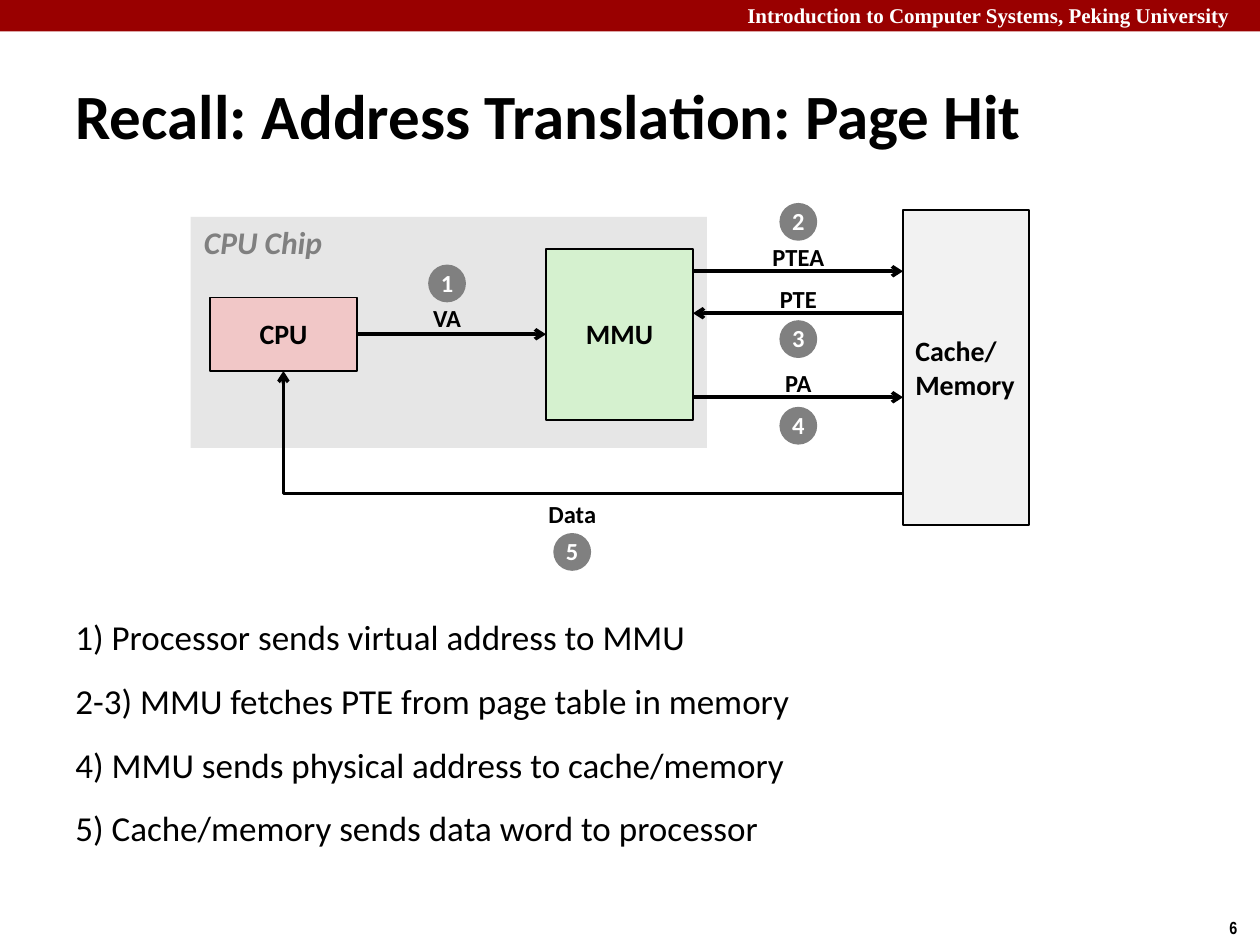
from dataclasses import dataclass

from lxml import etree
from pptx import Presentation
from pptx import util as u
from pptx.dml.color import RGBColor
from pptx.enum import shapes, text
from pptx.oxml import ns


@dataclass(frozen=True)
class Theme:
    font: str = "Calibri"
    header_font: str = "Times New Roman"
    number_font: str = "Arial Narrow"
    black: str = "000000"
    white: str = "FFFFFF"
    banner: str = "990000"
    chip: str = "E6E6E6"
    gray: str = "808080"
    cpu: str = "F1C7C7"
    mmu: str = "D5F1CF"
    memory: str = "F2F2F2"
    title: int = 36
    body: int = 20
    chip_size: int = 18
    unit: int = 16
    label: int = 14
    header: int = 12
    number: int = 10
    arrow: int = 2


THEME = Theme()
RECT = shapes.MSO_SHAPE.RECTANGLE
OVAL = shapes.MSO_SHAPE.OVAL
STRAIGHT = shapes.MSO_CONNECTOR.STRAIGHT
LEFT = text.PP_ALIGN.LEFT
CENTER = text.PP_ALIGN.CENTER
TOP = text.MSO_ANCHOR.TOP
MIDDLE = text.MSO_ANCHOR.MIDDLE


def write(box, lines, size, color=THEME.black, font=THEME.font, bold=True, italic=False,
          align=LEFT, anchor=TOP, wrap=False, gap=0):
    frame = box.text_frame
    frame.word_wrap = wrap
    frame.vertical_anchor = anchor
    for index, line in enumerate(lines):
        para = frame.paragraphs[0] if index == 0 else frame.add_paragraph()
        para.text = line
        para.alignment = align
        if align == CENTER:
            para.line_spacing = 0.98
        if index and gap:
            para.space_before = u.Pt(gap)
        para.font.name = font
        para.font.size = u.Pt(size)
        para.font.bold = bold
        para.font.italic = italic
        para.font.color.rgb = RGBColor.from_string(color)


def add_text(page, place, lines, size, **style):
    box = page.shapes.add_textbox(*map(u.Pt, place))
    write(box, lines, size, **style)


def add_block(page, place, fill, line_width=0, kind=RECT):
    block = page.shapes.add_shape(kind, *map(u.Pt, place))
    block.shadow.inherit = False
    block.fill.solid()
    block.fill.fore_color.rgb = RGBColor.from_string(fill)
    if line_width:
        block.line.color.rgb = RGBColor.from_string(THEME.black)
        block.line.width = u.Pt(line_width)
    else:
        block.line.fill.background()
    return block


def add_label(page, center, top, width, word):
    add_text(page, (center - width / 2, top, width, 24), [word], THEME.label,
             align=CENTER, anchor=MIDDLE)


def add_step(page, center, top, number):
    size = 21.6
    circle = add_block(page, (center - size / 2, top, size, size), THEME.gray, kind=OVAL)
    write(circle, [str(number)], THEME.label, color=THEME.white, align=CENTER, anchor=MIDDLE)


def add_arrow(page, start, end, kind=STRAIGHT):
    arrow = page.shapes.add_connector(kind, *map(u.Pt, (*start, *end)))
    arrow.line.color.rgb = RGBColor.from_string(THEME.black)
    arrow.line.width = u.Pt(THEME.arrow)
    properties = arrow.element.spPr
    etree.SubElement(properties.find(ns.qn("a:ln")), ns.qn("a:tailEnd"), type="arrow")
    etree.SubElement(properties, ns.qn("a:effectLst"))
    return arrow


def add_corner_arrow(page, start, end):
    arrow = add_arrow(page, start, end, shapes.MSO_CONNECTOR.ELBOW)
    # A single right-angle bend
    arrow.element.spPr.find(ns.qn("a:prstGeom")).set("prst", "bentConnector2")


def add_frame(page):
    add_block(page, (0, 0, 720, 18), THEME.banner)
    add_text(page, (420, -2, 305, 21.6),
             ["Introduction to Computer Systems, Peking University"],
             THEME.header, color=THEME.white, font=THEME.header_font, wrap=True)
    add_text(page, (695.5, 520.5, 24.5, 19.5), ["6"], THEME.number, font=THEME.number_font)
    add_text(page, (36, 34.5, 686, 62), ["Recall: Address Translation: Page Hit"],
             THEME.title, anchor=MIDDLE, wrap=True)


def add_units(page):
    add_block(page, (109, 124, 295, 132), THEME.chip)
    add_text(page, (109.5, 124, 83.5, 29), ["CPU Chip"], THEME.chip_size,
             color=THEME.gray, italic=True)
    mmu = add_block(page, (312, 142.5, 84, 97.5), THEME.mmu, 1)
    write(mmu, ["MMU"], THEME.unit, align=CENTER, anchor=MIDDLE)
    cpu = add_block(page, (120, 170, 84, 42), THEME.cpu, 1)
    write(cpu, ["CPU"], THEME.unit, align=CENTER, anchor=MIDDLE)
    memory = add_block(page, (516, 120, 72, 180), THEME.memory, 1.5)
    write(memory, ["Cache/", "Memory"], THEME.unit, anchor=MIDDLE)


def add_signals(page):
    mmu_edge, memory_edge = 396, 516
    add_arrow(page, (204, 191), (312, 191))
    add_arrow(page, (mmu_edge, 155), (memory_edge, 155))
    add_arrow(page, (memory_edge, 179), (mmu_edge, 179))
    add_arrow(page, (mmu_edge, 227), (memory_edge, 227))
    add_corner_arrow(page, (memory_edge, 282), (162, 212))

    # Word, its width, centre, top of the word, top of the step circle
    signals = [
        ("VA", 36, 255.5, 170, 151.2),
        ("PTEA", 48, 456.2, 135.5, 116),
        ("PTE", 40, 456.2, 159.5, 183),
        ("PA", 36, 456.2, 207.5, 232.5),
        ("Data", 46, 327, 282.2, 304.6),
    ]
    for number, (word, width, center, word_top, step_top) in enumerate(signals, 1):
        add_label(page, center, word_top, width, word)
        add_step(page, center, step_top, number)


def main():
    deck = Presentation()
    deck.slide_width, deck.slide_height = u.Pt(720), u.Pt(540)
    page = deck.slides.add_slide(deck.slide_layouts[6])

    # Banner, title and page number
    add_frame(page)

    # Translation diagram
    add_units(page)
    add_signals(page)

    # Steps in words
    add_text(page, (36, 348, 534, 162), [
        "1) Processor sends virtual address to MMU",
        "2-3) MMU fetches PTE from page table in memory",
        "4) MMU sends physical address to cache/memory",
        "5) Cache/memory sends data word to processor",
    ], THEME.body, bold=False, wrap=True, gap=12.5)

    deck.save("out.pptx")


if __name__ == "__main__":
    main()
